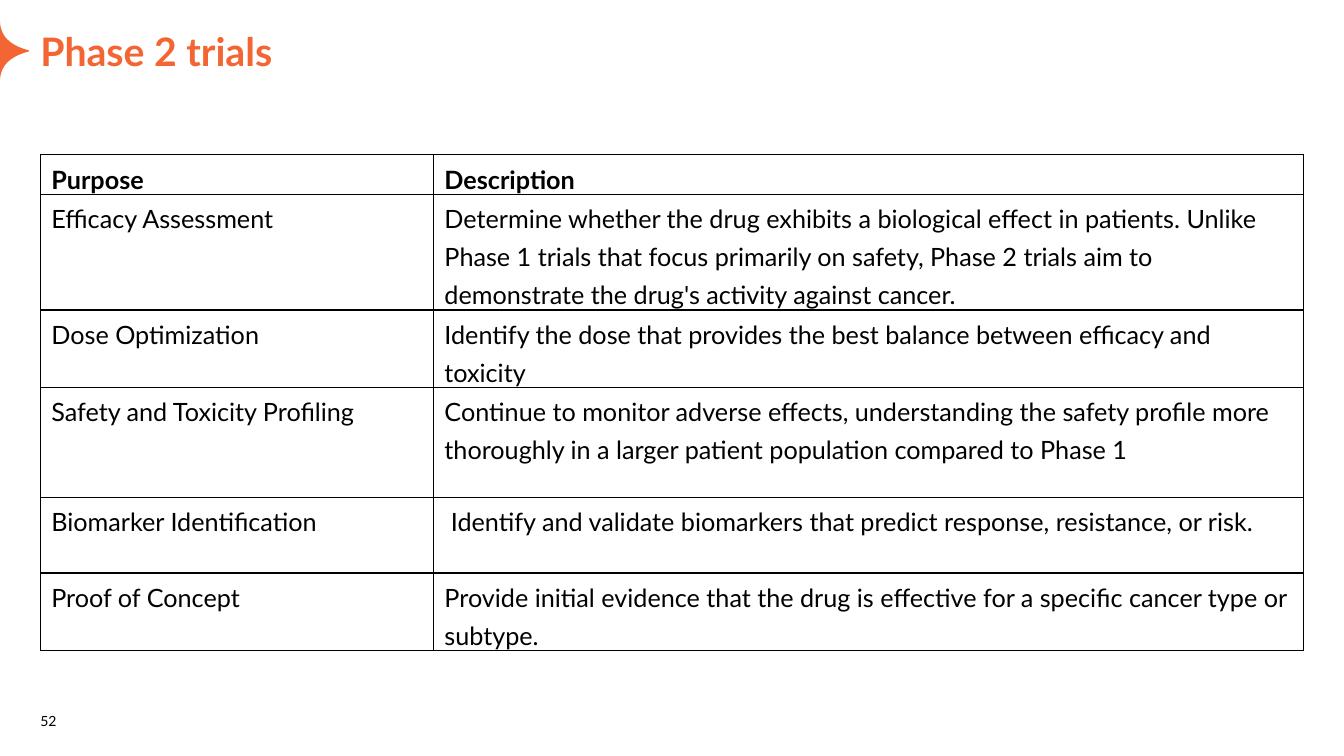
from dataclasses import dataclass

from lxml import etree
from pptx import Presentation
from pptx.dml.color import RGBColor
from pptx.enum.text import MSO_ANCHOR, MSO_AUTO_SIZE, PP_ALIGN
from pptx.oxml.ns import qn
from pptx.util import Pt

BOTTOM = MSO_ANCHOR.BOTTOM
TOP = MSO_ANCHOR.TOP
LEFT = PP_ALIGN.LEFT
NO_AUTOFIT = MSO_AUTO_SIZE.NONE
TITLE_ONLY_LAYOUT = 5


@dataclass(frozen=True)
class Theme:
    font: str = "Lato"
    accent: str = "F36633"
    ink: str = "000000"
    title_size: int = 28
    table_size: int = 18
    number_size: int = 10
    border_width: int = 1


THEME = Theme()
MARGIN = 28.8
CONTENT_WIDTH = 902.4
COLUMN_WIDTHS = (280.8, 621.6)
ROW_HEIGHTS = (26, 78.5, 54, 78.5, 54, 54)
TRIAL_PURPOSES = (
    ("Purpose", "Description"),
    ("Efficacy Assessment",
     "Determine whether the drug exhibits a biological effect in patients. "
     "Unlike Phase 1 trials that focus primarily on safety, Phase 2 trials aim "
     "to demonstrate the drug's activity against cancer."),
    ("Dose Optimization",
     "Identify the dose that provides the best balance between efficacy and "
     "toxicity"),
    ("Safety and Toxicity Profiling",
     "Continue to monitor adverse effects, understanding the safety profile "
     "more thoroughly in a larger patient population compared to Phase 1"),
    ("Biomarker Identification",
     " Identify and validate biomarkers that predict response, resistance, "
     "or risk."),
    ("Proof of Concept",
     "Provide initial evidence that the drug is effective for a specific "
     "cancer type or subtype."),
)


def write_text(frame, text, *, size, color=THEME.ink, bold=False,
               line_spacing=1.0):
    frame.word_wrap = True
    paragraph = frame.paragraphs[0]
    paragraph.text = text
    paragraph.alignment = LEFT
    paragraph.line_spacing = line_spacing
    font = paragraph.runs[0].font
    font.name = THEME.font
    font.size = Pt(size)
    font.bold = bold
    font.color.rgb = RGBColor.from_string(color)


def place_text(shape, left, top, width, height, text, **text_format):
    """Move a text shape and fill it, bottom-aligned and without insets."""
    shape.left, shape.top = Pt(left), Pt(top)
    shape.width, shape.height = Pt(width), Pt(height)
    frame = shape.text_frame
    frame.auto_size = NO_AUTOFIT
    frame.vertical_anchor = BOTTOM
    frame.margin_left = frame.margin_right = Pt(0)
    frame.margin_top = frame.margin_bottom = Pt(0)
    write_text(frame, text, **text_format)


def bezier(start, control_1, control_2, end, steps=16):
    """Points along a cubic curve, both ends included."""
    points = []
    for step in range(steps + 1):
        t = step / steps
        weights = ((1 - t) ** 3, 3 * t * (1 - t) ** 2,
                   3 * t ** 2 * (1 - t), t ** 3)
        corners = zip(start, control_1, control_2, end)
        points.append(tuple(sum(w * c for w, c in zip(weights, axis))
                            for axis in corners))
    return points


def add_star_edge(slide, middle=36.4):
    """Draw the half star at the left edge, mirrored about its middle."""
    upper = bezier((0, 14.4), (0, 25.9), (7.2, 32.4), (20.5, 36))
    lower = [(x, 2 * middle - y) for x, y in reversed(upper)]
    outline = [(Pt(x), Pt(y)) for x, y in upper + [(20.8, middle)] + lower]
    builder = slide.shapes.build_freeform(*outline[0])
    builder.add_line_segments(outline[1:], close=True)
    star = builder.convert_to_shape()
    star.shadow.inherit = False
    star.fill.solid()
    star.fill.fore_color.rgb = RGBColor.from_string(THEME.accent)
    star.line.fill.background()


def set_borders(cell):
    properties = cell._tc.get_or_add_tcPr()
    for position, side in enumerate(("a:lnL", "a:lnR", "a:lnT", "a:lnB")):
        border = etree.Element(qn(side), w=str(Pt(THEME.border_width)))
        fill = etree.SubElement(border, qn("a:solidFill"))
        etree.SubElement(fill, qn("a:srgbClr"), val=THEME.ink)
        properties.insert(position, border)


def add_purpose_table(slide, top):
    table = slide.shapes.add_table(
        len(ROW_HEIGHTS), len(COLUMN_WIDTHS), Pt(MARGIN), Pt(top),
        Pt(CONTENT_WIDTH), Pt(sum(ROW_HEIGHTS))).table
    table.horz_banding = False
    for column, width in zip(table.columns, COLUMN_WIDTHS):
        column.width = Pt(width)
    for row_index, entries in enumerate(TRIAL_PURPOSES):
        table.rows[row_index].height = Pt(ROW_HEIGHTS[row_index])
        for column_index, entry in enumerate(entries):
            cell = table.cell(row_index, column_index)
            cell.margin_left = cell.margin_right = Pt(7.9)
            cell.margin_top, cell.margin_bottom = Pt(1.4), Pt(0)
            cell.vertical_anchor = TOP
            cell.fill.background()
            set_borders(cell)
            write_text(cell.text_frame, entry, size=THEME.table_size,
                       bold=row_index == 0, line_spacing=1.25)


def main():
    deck = Presentation()
    deck.slide_width, deck.slide_height = Pt(960), Pt(540)
    slide = deck.slides.add_slide(deck.slide_layouts[TITLE_ONLY_LAYOUT])

    add_star_edge(slide)
    place_text(slide.shapes.title, MARGIN, 19.4, CONTENT_WIDTH, 33.8,
               "Phase 2 trials", size=THEME.title_size, color=THEME.accent,
               bold=True)
    page_number = slide.shapes.add_textbox(0, 0, 0, 0)
    place_text(page_number, MARGIN, 499.7, 42.5, 21.6, "52",
               size=THEME.number_size)
    add_purpose_table(slide, top=110.6)

    deck.save("out.pptx")


if __name__ == "__main__":
    main()
